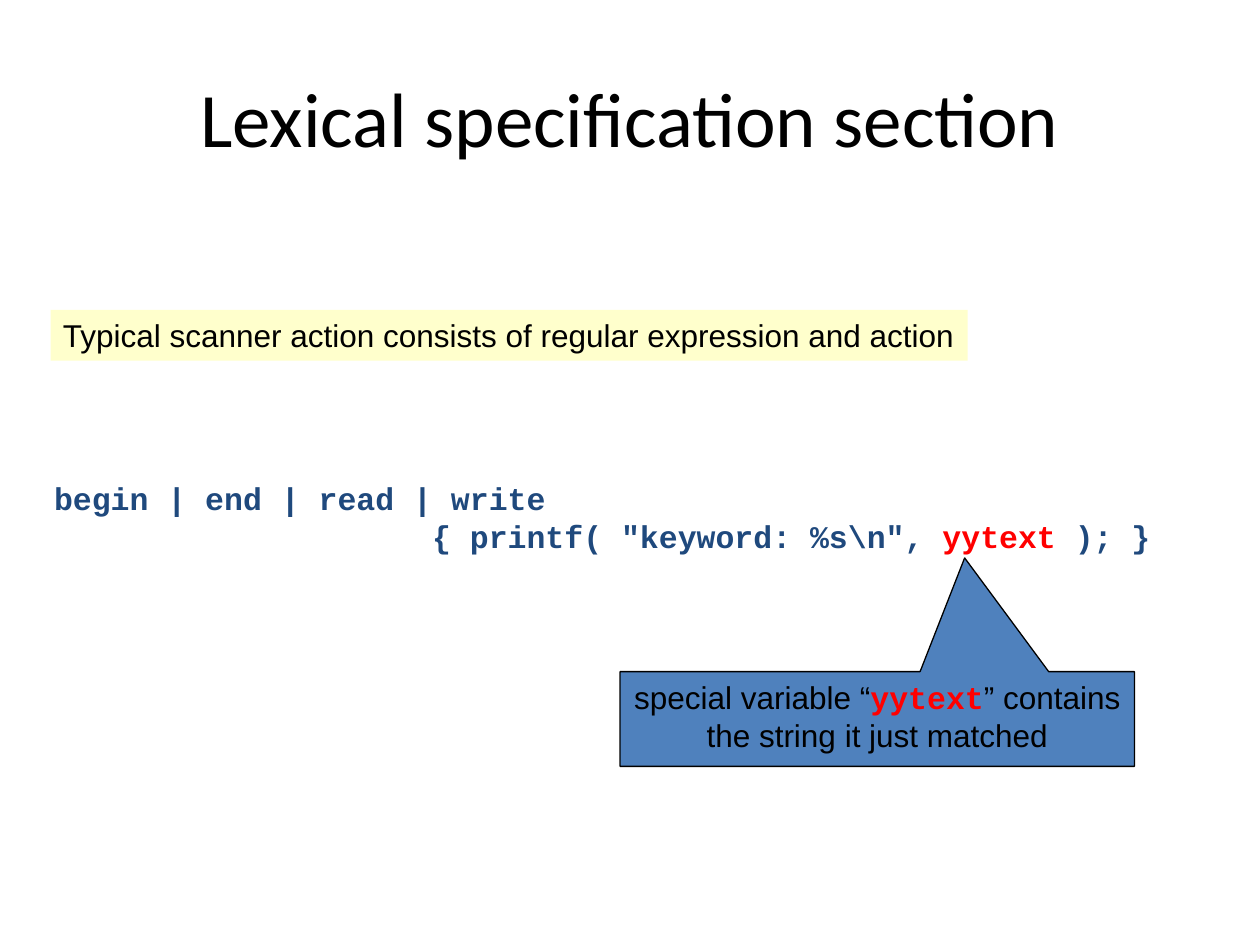
import pptx
import pptx.util
import pptx.dml.color
import pptx.enum.shapes
import pptx.enum.text

Cm, Pt = pptx.util.Cm, pptx.util.Pt
SHAPE = pptx.enum.shapes.MSO_SHAPE
ALIGN = pptx.enum.text.PP_ALIGN
ANCHOR = pptx.enum.text.MSO_ANCHOR
FIT = pptx.enum.text.MSO_AUTO_SIZE

BLACK, NAVY, RED = "000000", "1F497D", "FF0000"
VARIABLE = ("yytext", dict(font="Courier New", color=RED, bold=True))

TITLE = [["Lexical specification section"]]
SUMMARY = [["Typical scanner action consists of regular expression and action"]]
CODE = [
    ["begin | end | read | write"],
    ['                    { printf( "keyword: %s\\n", ', VARIABLE, " ); }"],
]
NOTE = [["special variable “", VARIABLE, "” contains the string it just matched"]]


def rgb(color):
    return pptx.dml.color.RGBColor.from_string(color)


def add_text(sp, lines, font="Arial", size=18, color=BLACK, bold=False,
             align=ALIGN.LEFT, anchor=ANCHOR.TOP, wrap=True, fit=FIT.NONE):
    tf = sp.text_frame
    tf.word_wrap = wrap
    tf.auto_size = fit
    tf.vertical_anchor = anchor
    for i, line in enumerate(lines):
        p = tf.paragraphs[0] if i == 0 else tf.add_paragraph()
        p.alignment = align
        for part in line:
            text, own = (part, {}) if isinstance(part, str) else part
            look = dict(font=font, color=color, bold=bold) | own
            r = p.add_run()
            r.text = text
            r.font.name = look["font"]
            r.font.size = Pt(size)
            r.font.bold = look["bold"]
            r.font.color.rgb = rgb(look["color"])


def add_box(shapes, kind, box, fill, line=None):
    sp = shapes.add_shape(kind, *map(Cm, box))
    sp.shadow.inherit = False
    sp.fill.solid()
    sp.fill.fore_color.rgb = rgb(fill)
    if line:
        sp.line.color.rgb = rgb(line)
        sp.line.width = Pt(0.75)
    else:
        sp.line.fill.background()
    return sp


prs = pptx.Presentation()
prs.slide_width, prs.slide_height = Cm(25.4), Cm(19.05)
s = prs.slides.add_slide(prs.slide_layouts[5])

title = s.shapes.title
title.left, title.top, title.width, title.height = map(Cm, (1.27, 0.76, 22.86, 3.18))
add_text(title, TITLE, font="Calibri", size=44, align=ALIGN.CENTER, anchor=ANCHOR.MIDDLE)

code = s.shapes.add_textbox(*map(Cm, (0.84, 9.53, 22.86, 1.78)))
add_text(code, CODE, font="Courier New", color=NAVY, bold=True, fit=FIT.SHAPE_TO_FIT_TEXT)

summary = add_box(s.shapes, SHAPE.RECTANGLE, (1.02, 6.25, 18.49, 1.02), "FFFFCC")
add_text(summary, SUMMARY, wrap=False, fit=FIT.SHAPE_TO_FIT_TEXT)

note = add_box(s.shapes, SHAPE.RECTANGULAR_CALLOUT, (12.5, 13.54, 10.37, 1.91), "4F81BD", BLACK)
note.adjustments[0], note.adjustments[1] = 0.17, -1.7
add_text(note, NOTE, align=ALIGN.CENTER)

prs.save("out.pptx")
